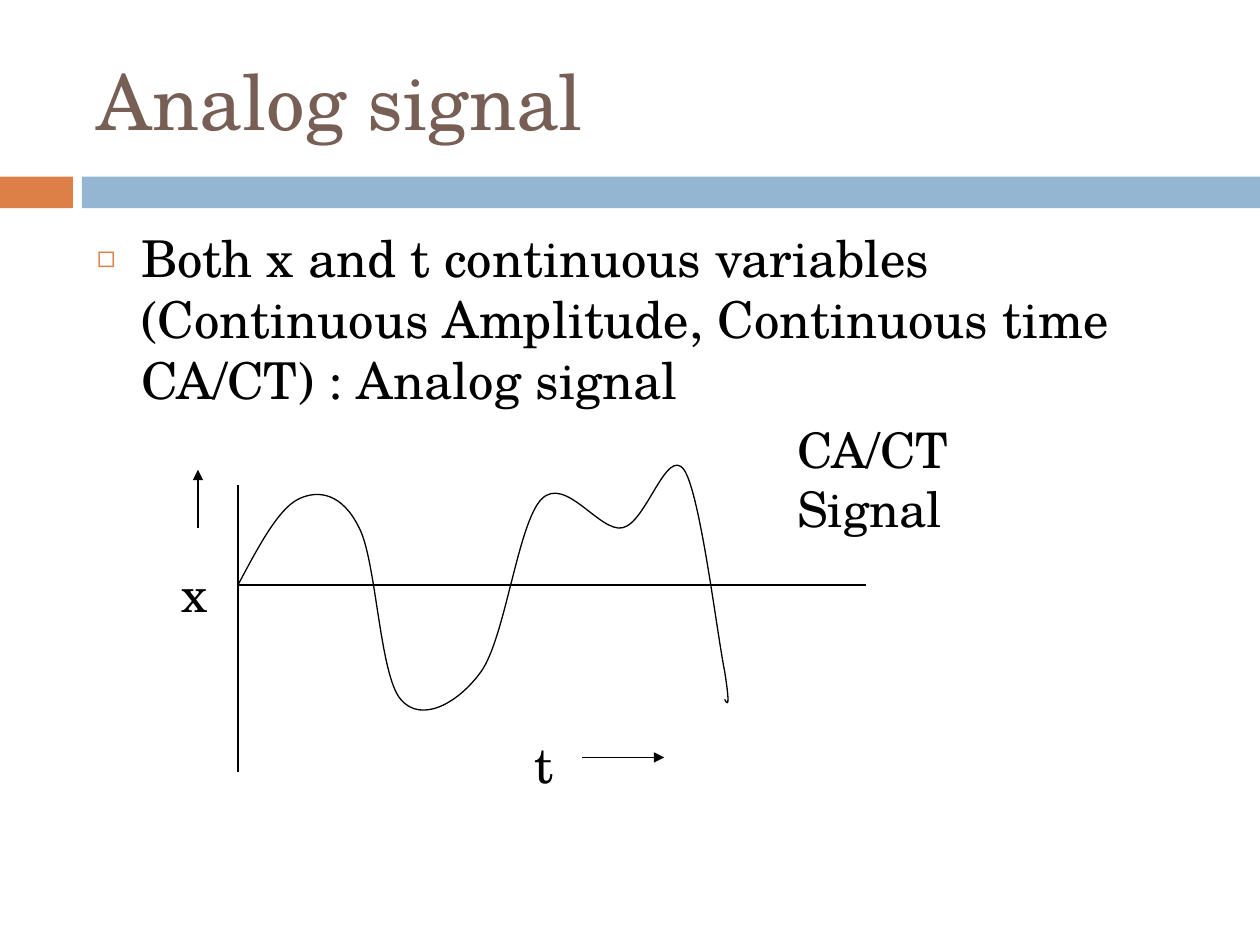
"""Build a slide that explains an analog signal with a drawn waveform."""
import lxml.etree
import pptx
import pptx.dml.color
import pptx.enum.dml
import pptx.enum.shapes
import pptx.enum.text
import pptx.oxml.ns
import pptx.util

Cm = pptx.util.Cm
Pt = pptx.util.Pt
RGBColor = pptx.dml.color.RGBColor
qn = pptx.oxml.ns.qn

FONT = "TeX Gyre Schola"
BLACK = RGBColor(0x00, 0x00, 0x00)
BROWN = RGBColor(0x77, 0x5F, 0x55)
ORANGE = RGBColor(0xDD, 0x80, 0x47)
BLUE = RGBColor(0x94, 0xB6, 0xD2)

TITLE = "Analog signal"
BODY = ("Both x and t continuous variables (Continuous Amplitude, "
        "Continuous time CA/CT) : Analog signal")
SLIDE_WIDTH, SLIDE_HEIGHT = 25.4, 19.05
MARGIN, TEXT_WIDTH = 1.7, 22.66
BAR_TOP, BAR_HEIGHT = 3.56, 0.64
BARS = [(0, 1.47, ORANGE), (1.65, 23.75, BLUE)]
ORIGIN_X, ORIGIN_Y = 4.8, 11.79

AXES = [
    ((ORIGIN_X, 9.78), (ORIGIN_X, 15.57)),
    ((ORIGIN_X, ORIGIN_Y), (17.45, ORIGIN_Y)),
]
ARROWS = [
    ((11.73, 15.27), (13.39, 15.27)),
    ((3.99, 10.64), (3.99, 9.47)),
]
LABELS = [
    ("t", 10.52, 14.68, 1.22, 1.14),
    ("x", 3.4, 11.23, 1.22, 1.73),
    ("CA/CT Signal", 15.82, 8.33, 4.09, 1.73),
]
WAVE_CURVES = [
    ((5.21, 11.02), (5.61, 10.26), (6.02, 10.06)),
    ((6.43, 9.86), (6.91, 9.96), (7.24, 10.64)),
    ((7.59, 11.3), (7.65, 13.61), (8.08, 14.1)),
    ((8.48, 14.58), (9.22, 14.2), (9.7, 13.54)),
    ((10.19, 12.85), (10.44, 10.54), (10.92, 10.06)),
    ((11.4, 9.58), (12.09, 10.74), (12.55, 10.64)),
    ((13.03, 10.54), (13.44, 8.99), (13.79, 9.47)),
    ((14.12, 9.96), (14.45, 12.75), (14.61, 13.54)),
    ((14.73, 14.3), (14.66, 14.2), (14.61, 14.1)),
]


def add_bars(slide):
    for left, width, color in BARS:
        bar = slide.shapes.add_shape(
            pptx.enum.shapes.MSO_SHAPE.RECTANGLE,
            Cm(left), Cm(BAR_TOP), Cm(width), Cm(BAR_HEIGHT))
        bar.shadow.inherit = False
        bar.fill.solid()
        bar.fill.fore_color.rgb = color
        bar.line.fill.background()


def write_text(shape, text, size, color, anchor=pptx.enum.text.MSO_ANCHOR.TOP):
    frame = shape.text_frame
    frame.text = text
    frame.word_wrap = True
    frame.auto_size = pptx.enum.text.MSO_AUTO_SIZE.NONE
    frame.vertical_anchor = anchor
    paragraph = frame.paragraphs[0]
    paragraph.alignment = pptx.enum.text.PP_ALIGN.LEFT
    paragraph.space_before = Pt(0)
    paragraph.font.name = FONT
    paragraph.font.size = Pt(size)
    paragraph.font.color.rgb = color
    return paragraph


def place(shape, left, top, width, height):
    shape.left, shape.top = Cm(left), Cm(top)
    shape.width, shape.height = Cm(width), Cm(height)


def add_bullet(paragraph, character, color, indent):
    properties = paragraph._p.get_or_add_pPr()
    properties.set("marL", str(Cm(indent)))
    properties.set("indent", str(-Cm(indent)))
    bullet_color = lxml.etree.Element(qn("a:buClr"))
    lxml.etree.SubElement(bullet_color, qn("a:srgbClr"), val=str(color))
    bullet_size = lxml.etree.Element(qn("a:buSzPct"), val="60000")
    bullet = lxml.etree.Element(qn("a:buChar"), char=character)
    default_run = properties.find(qn("a:defRPr"))
    for element in (bullet_color, bullet_size, bullet):
        default_run.addprevious(element)


def add_line(shapes, start, end, arrow=False):
    connector = shapes.add_connector(
        pptx.enum.shapes.MSO_CONNECTOR.STRAIGHT,
        *(Cm(value) for value in start + end))
    connector.line.color.rgb = BLACK
    connector.line.width = Pt(0.75)
    if arrow:
        line = connector.line._get_or_add_ln()
        lxml.etree.SubElement(line, qn("a:tailEnd"), type="triangle")
    lxml.etree.SubElement(connector._element.spPr, qn("a:effectLst"))


def add_wave(shapes):
    builder = shapes.build_freeform(Cm(ORIGIN_X), Cm(ORIGIN_Y))
    points = [point for curve in WAVE_CURVES for point in curve]
    builder.add_line_segments([(Cm(x), Cm(y)) for x, y in points], close=False)
    wave = builder.convert_to_shape()
    wave.shadow.inherit = False
    wave.fill.background()
    wave.line.color.rgb = BLACK
    wave.line.width = Pt(0.75)
    segments = list(wave._element.iter(qn("a:lnTo")))
    for first in range(0, len(segments), 3):
        curve = lxml.etree.Element(qn("a:cubicBezTo"))
        segments[first].addprevious(curve)
        for segment in segments[first:first + 3]:
            curve.append(segment[0])
            segment.getparent().remove(segment)


def add_graph(slide):
    shapes = slide.shapes.add_group_shape().shapes
    for start, end in AXES:
        add_line(shapes, start, end)
    add_wave(shapes)
    for start, end in ARROWS:
        add_line(shapes, start, end, arrow=True)
    for text, *box in LABELS:
        label = shapes.add_textbox(*(Cm(value) for value in box))
        write_text(label, text, 28, BLACK)


def main():
    presentation = pptx.Presentation()
    presentation.slide_width = Cm(SLIDE_WIDTH)
    presentation.slide_height = Cm(SLIDE_HEIGHT)
    slide = presentation.slides.add_slide(presentation.slide_layouts[1])
    add_bars(slide)
    title, body = slide.shapes.title, slide.placeholders[1]
    place(title, MARGIN, 0.64, TEXT_WIDTH, 2.74)
    write_text(title, TITLE, 44, BROWN, pptx.enum.text.MSO_ANCHOR.MIDDLE)
    place(body, MARGIN, 4.45, TEXT_WIDTH, 12.5)
    add_bullet(write_text(body, BODY, 29, BLACK), "◻", ORANGE, 0.89)
    add_graph(slide)
    presentation.save("out.pptx")


if __name__ == "__main__":
    main()
